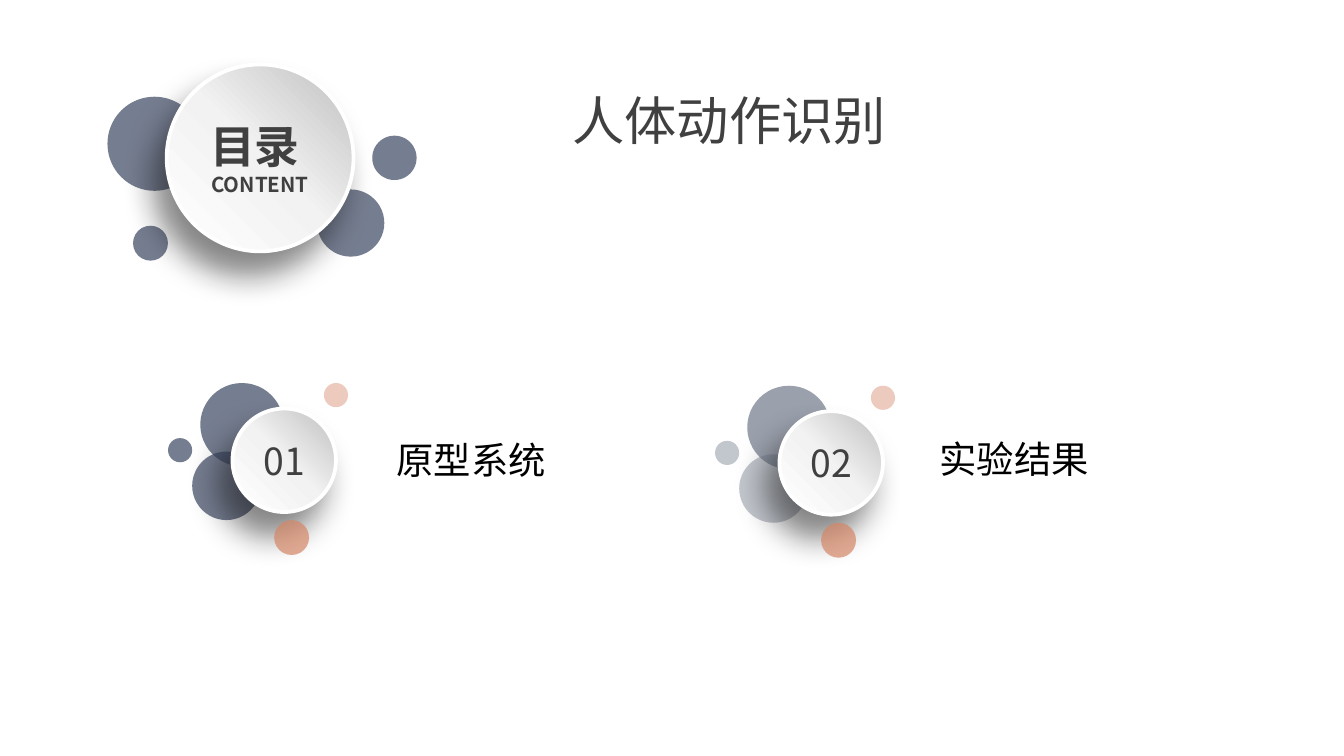
"""Build a contents slide with a bubble heading and two numbered topics."""
from copy import deepcopy
from dataclasses import dataclass

from pptx import Presentation
from pptx.dml.color import RGBColor
from pptx.enum.shapes import MSO_SHAPE as Preset
from pptx.enum.text import MSO_ANCHOR as Anchor, MSO_AUTO_SIZE as AutoSize, PP_ALIGN as Align
from pptx.oxml import parse_xml
from pptx.oxml.ns import nsdecls, qn
from pptx.util import Inches, Pt

FONT = "Noto Sans CJK SC"
COLORS = {
    "navy": "3B4761", "slate": "70788A", "mist": "A9AEB9",
    "coral": "D38666", "blush": "E5B6A3", "silver": "BFBFBF",
    "pearl": "F2F2F2", "white": "FFFFFF", "shadow": "0D0D0D",
    "grey": "404040", "black": "000000",
}
BADGE_STOPS = ((0, "silver"), (0.5, "pearl"), (1, "white"))


@dataclass
class Bubble:
    left: float
    top: float
    size: float
    color: str


@dataclass
class Badge:
    left: float
    top: float
    size: float
    text: str
    point_sizes: tuple[int, ...]
    bold: bool = False


@dataclass
class Topic:
    number: str
    label: str
    left: float
    top: float
    label_left: float
    label_top: float
    large_color: str
    small_color: str


TOPICS = (
    Topic("01", "原型系统", 1.25, 2.85, 2.56, 3.39, "navy", "navy"),
    Topic("02", "实验结果", 5.32, 2.87, 6.6, 3.38, "slate", "mist"),
)
HEADING = (
    Bubble(0.99, 1.68, 0.26, "navy"),
    Bubble(2.36, 1.41, 0.5, "navy"),
    Bubble(0.8, 0.72, 0.7, "navy"),
    Badge(1.24, 0.48, 1.39, "目录 \vCONTENT", (24, 11), True),
    Bubble(2.77, 1.01, 0.33, "navy"),
)


def rgb(name: str) -> RGBColor:
    """Return the named colour."""
    return RGBColor.from_string(COLORS[name])


def style_run(run, size: int, color: str, bold: bool = False) -> None:
    """Set the font of a run for Latin and East Asian text."""
    font = run.font
    font.name, font.size, font.bold = FONT, Pt(size), bold
    font.color.rgb = rgb(color)
    latin = font._element.find(qn("a:latin"))
    latin.addnext(parse_xml(f'<a:ea {nsdecls("a")} typeface="{FONT}"/>'))


def add_circle(shapes, left: float, top: float, size: float):
    """Add a circle without the theme shadow."""
    circle = shapes.add_shape(Preset.OVAL, Inches(left), Inches(top), Inches(size), Inches(size))
    circle.shadow.inherit = False
    return circle


def add_bubble(shapes, bubble: Bubble) -> None:
    """Add a translucent circle."""
    circle = add_circle(shapes, bubble.left, bubble.top, bubble.size)
    circle.fill.solid()
    circle.fill.fore_color.rgb = rgb(bubble.color)
    circle.line.fill.background()
    color = circle._element.spPr.find(qn("a:solidFill"))[0]
    color.append(parse_xml(f'<a:alpha {nsdecls("a")} val="70000"/>'))


def add_badge(shapes, badge: Badge) -> None:
    """Add a shaded circle with a soft shadow and centred text."""
    circle = add_circle(shapes, badge.left, badge.top, badge.size)
    circle.fill.gradient()
    circle.fill.gradient_angle = 225
    properties = circle._element.spPr
    stop_list = properties.find(qn("a:gradFill")).find(qn("a:gsLst"))
    stop_list.append(deepcopy(stop_list[-1]))
    for stop, (position, color) in zip(circle.fill.gradient_stops, BADGE_STOPS):
        stop.position, stop.color.rgb = position, rgb(color)
    circle.line.color.rgb = rgb("white")
    circle.line.width = Pt(2)
    properties.find(qn("a:effectLst")).append(parse_xml(
        f'<a:outerShdw {nsdecls("a")} blurRad="{Pt(17)}" dist="{Pt(14)}" dir="7200000" '
        f'algn="ctr" rotWithShape="0"><a:srgbClr val="{COLORS["shadow"]}">'
        '<a:alpha val="50000"/></a:srgbClr></a:outerShdw>'))
    frame = circle.text_frame
    frame.word_wrap, frame.vertical_anchor = False, Anchor.MIDDLE
    para = frame.paragraphs[0]
    para.text, para.alignment = badge.text, Align.CENTER
    for run, size in zip(para.runs, badge.point_sizes):
        style_run(run, size, "grey", badge.bold)


def add_cluster(shapes, circles: tuple) -> None:
    """Add bubbles and badges from back to front."""
    for circle in circles:
        if isinstance(circle, Badge):
            add_badge(shapes, circle)
        else:
            add_bubble(shapes, circle)


def add_topic(slide, topic: Topic) -> None:
    """Add a numbered bubble cluster with its label."""
    shapes = slide.shapes.add_group_shape().shapes
    left, top = topic.left, topic.top
    add_cluster(shapes, (
        Bubble(left + 0.18, top + 0.51, 0.51, topic.small_color),
        Bubble(left + 0.24, top, 0.62, topic.large_color),
        Badge(left + 0.48, top + 0.19, 0.77, topic.number, (20,)),
        Bubble(left + 0.79, top + 1.02, 0.26, "coral"),
        Bubble(left, top + 0.41, 0.18, topic.small_color),
        Bubble(left + 1.16, top, 0.18, "blush"),
    ))
    box = shapes.add_textbox(
        Inches(topic.label_left), Inches(topic.label_top), Inches(2.15), Inches(0.2))
    frame = box.text_frame
    frame.text = topic.label
    frame.word_wrap, frame.vertical_anchor = False, Anchor.BOTTOM
    frame.margin_left = Inches(0.39)
    frame.margin_top = frame.margin_right = frame.margin_bottom = 0
    style_run(frame.paragraphs[0].runs[0], 20, "black")


def set_title(slide, text: str) -> None:
    """Place and format the slide title."""
    title = slide.shapes.title
    title.left, title.top = Inches(4.16), Inches(0.61)
    title.width, title.height = Inches(2.77), Inches(0.67)
    frame = title.text_frame
    frame.text = text
    frame.word_wrap, frame.auto_size = False, AutoSize.NONE
    frame.vertical_anchor = Anchor.TOP
    para = frame.paragraphs[0]
    para.alignment = Align.LEFT
    style_run(para.runs[0], 28, "grey")


def main() -> None:
    """Build and save the deck."""
    deck = Presentation()
    deck.slide_width = Inches(10)
    deck.slide_height = deck.slide_width * 9 // 16
    slide = deck.slides.add_slide(deck.slide_layouts[5])
    set_title(slide, "人体动作识别")
    for topic in TOPICS:
        add_topic(slide, topic)
    add_cluster(slide.shapes.add_group_shape().shapes, HEADING)
    deck.save("out.pptx")


if __name__ == "__main__":
    main()
